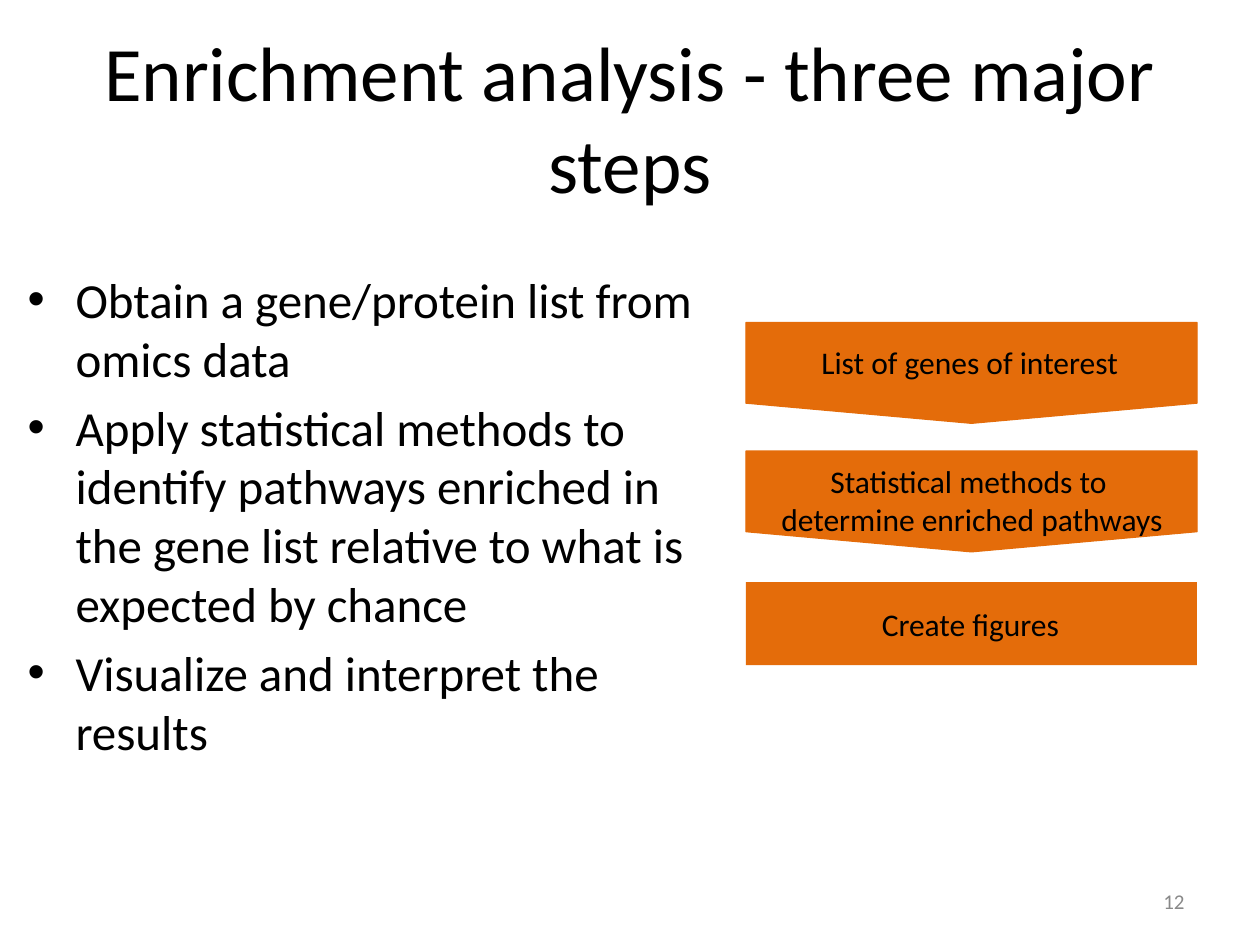
from pptx import Presentation
from pptx.dml.color import RGBColor
from pptx.enum.shapes import MSO_SHAPE
from pptx.enum.text import MSO_ANCHOR, MSO_AUTO_SIZE, PP_ALIGN
from pptx.oxml.ns import qn
from pptx.util import Inches, Pt
from lxml import etree

ORANGE = RGBColor(0xE4, 0x6C, 0x0A)
BLACK = RGBColor(0, 0, 0)
GRAY = RGBColor(0x89, 0x89, 0x89)


def place(sp, left, top, width, height):
    box = {"left": left, "top": top, "width": width, "height": height}
    for name, value in box.items():
        setattr(sp, name, Inches(value))


def write(tf, lines, size, color, align):
    tf.text = "\n".join(lines)
    for p in tf.paragraphs:
        p.alignment = align
        for r in p.runs:
            for name, value in {"name": "Calibri", "size": Pt(size)}.items():
                setattr(r.font, name, value)
            r.font.color.rgb = color


prs = Presentation()
prs.slide_width, prs.slide_height = Inches(10), Inches(7.5)
s = prs.slides.add_slide(prs.slide_layouts[1])

title, body = s.placeholders[0], s.placeholders[1]
place(title, 0.5, 0.3, 9, 1.25)
title.text_frame.vertical_anchor = MSO_ANCHOR.MIDDLE
write(title.text_frame, ["Enrichment analysis - three major steps"],
      44, BLACK, PP_ALIGN.CENTER)

place(body, 0.12, 2.09, 5.56, 4.95)
bullets = [
    "Obtain a gene/protein list from omics data",
    "Apply statistical methods to identify pathways enriched in "
    "the gene list relative to what is expected by chance",
    "Visualize and interpret the results",
]
write(body.text_frame, bullets, 28, BLACK, PP_ALIGN.LEFT)
for i, p in enumerate(body.text_frame.paragraphs):
    p.space_before = Pt(5.6 if i else 0)
    pPr = p._p.get_or_add_pPr()
    pPr.set("marL", str(Inches(0.38)))
    pPr.set("indent", str(-Inches(0.38)))
    etree.SubElement(pPr, qn("a:buChar"), char="•")

PENTAGON = MSO_SHAPE.FLOWCHART_OFFPAGE_CONNECTOR
steps = [
    (PENTAGON, 2.56, 0.8, ["List of genes of interest"],
     (6.42, 2.67, 2.59, 0.4)),
    (PENTAGON, 3.58, 0.8, ["Statistical methods to ", "determine enriched pathways"],
     (6.08, 3.62, 3.27, 0.71)),
    (MSO_SHAPE.RECTANGLE, 4.62, 0.66, ["Create figures"],
     (6.9, 4.75, 1.63, 0.4)),
]
for kind, top, height, lines, label_box in steps:
    sp = s.shapes.add_shape(kind, Inches(5.92), Inches(top), Inches(3.58), Inches(height))
    sp.shadow.inherit = False
    sp.fill.solid()
    sp.fill.fore_color.rgb = ORANGE
    if kind == PENTAGON:
        sp.line.color.rgb = ORANGE
        sp.line.width = Pt(0.75)
    else:
        sp.line.fill.background()
    label = s.shapes.add_textbox(*map(Inches, label_box))
    tf = label.text_frame
    for name, value in {"word_wrap": False, "auto_size": MSO_AUTO_SIZE.SHAPE_TO_FIT_TEXT}.items():
        setattr(tf, name, value)
    write(tf, lines, 18, BLACK, PP_ALIGN.CENTER if len(lines) > 1 else PP_ALIGN.LEFT)

number = s.shapes.add_textbox(Inches(7.17), Inches(6.95), Inches(2.33), Inches(0.4))
tf = number.text_frame
for name, value in {"word_wrap": True, "vertical_anchor": MSO_ANCHOR.MIDDLE}.items():
    setattr(tf, name, value)
write(tf, ["12"], 12, GRAY, PP_ALIGN.RIGHT)

prs.save("out.pptx")
